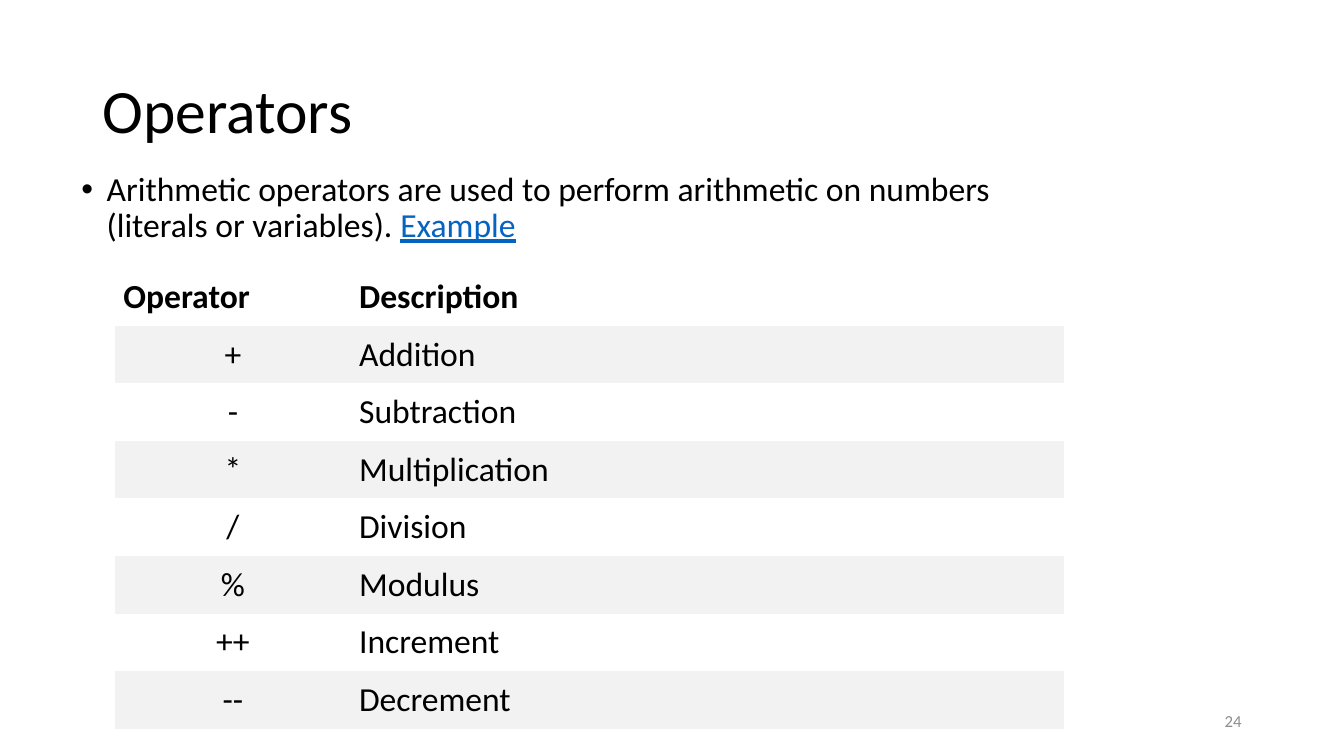
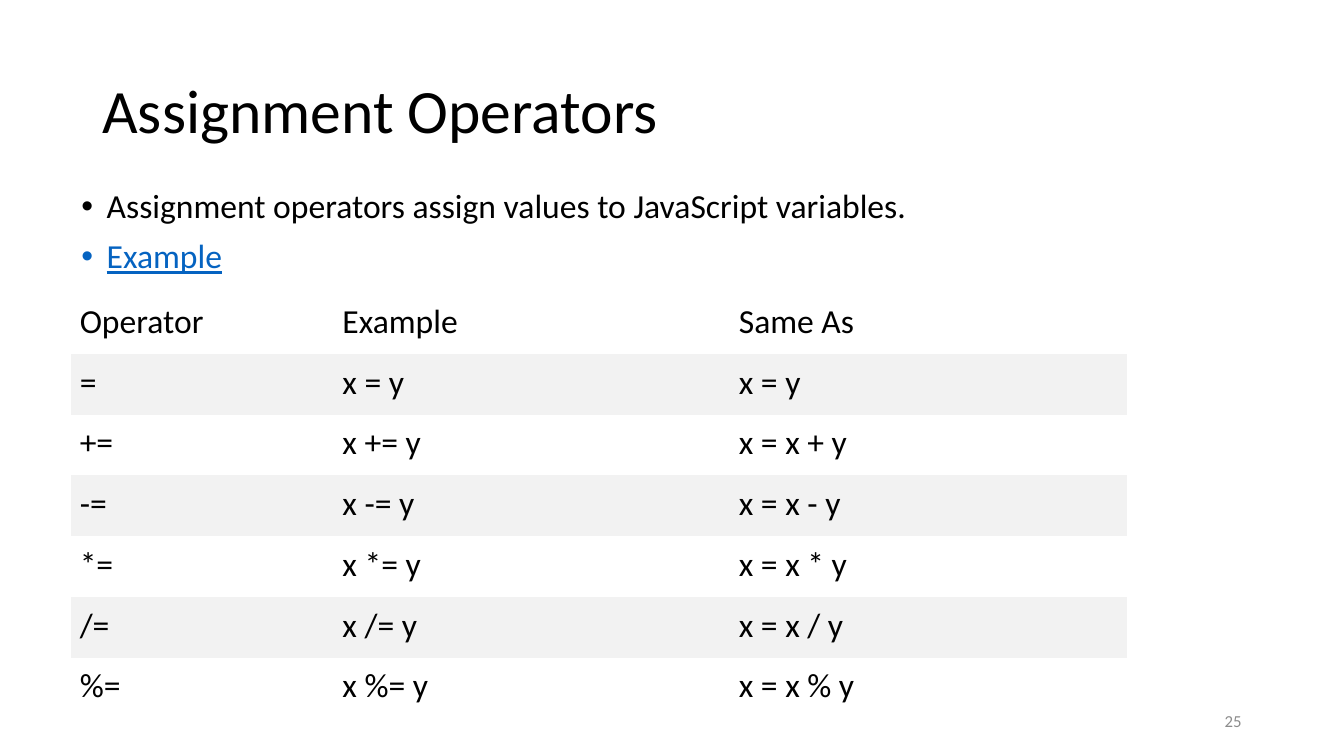
from lxml.etree import SubElement
from pptx import Presentation
from pptx.dml.color import RGBColor
from pptx.enum.text import MSO_ANCHOR as Anchor, PP_ALIGN as Align
from pptx.oxml.ns import qn
from pptx.util import Cm, Pt

FONT = "Calibri"
BLACK, WHITE, STRIPE, LINK, MUTED = "000000", "FFFFFF", "F2F2F2", "0563C1", "8C8C8C"
PLAIN_TABLE = "{2D5ABB26-0587-4C30-8999-92F81FD0307C}"


def paint(fill, color):
    fill.solid()
    fill.fore_color.rgb = RGBColor.from_string(color)


def write(frame, *paragraphs, size=24, color=BLACK, bold=False, align=Align.LEFT,
          anchor=Anchor.TOP, spacing=1.0, bullet=False):
    frame.word_wrap = True
    frame.vertical_anchor = anchor
    for index, spans in enumerate(paragraphs):
        para = frame.add_paragraph() if index else frame.paragraphs[0]
        para.alignment = align
        para.line_spacing = spacing
        if bullet:
            para.space_before = Pt(10)
            properties = para._p.get_or_add_pPr()
            properties.set("marL", str(Cm(0.64)))
            properties.set("indent", str(-Cm(0.64)))
            SubElement(properties, qn("a:buFont"), typeface="Arial")
            SubElement(properties, qn("a:buChar"), char="•")
        for text, linked in spans:
            span = para.add_run()
            span.text = text
            span.font.name = FONT
            span.font.size = Pt(size)
            span.font.bold = bold
            span.font.underline = linked
            paint(span.font.fill, LINK if linked else color)


slides = [
    {
        "title": "Operators",
        "number": 24,
        "body_top": 4.22,
        "body": [[("Arithmetic operators are used to perform arithmetic on numbers "
                   "(literals or variables). ", False), ("Example", True)]],
        "table_at": (2.9, 6.76),
        "columns": [5.94, 17.97],
        "row_height": 1.45,
        "bold_header": True,
        "symbol_align": Align.CENTER,
        "rows": [
            ("Operator", "Description"),
            ("+", "Addition"),
            ("-", "Subtraction"),
            ("*", "Multiplication"),
            ("/", "Division"),
            ("%", "Modulus"),
            ("++", "Increment"),
            ("--", "Decrement"),
        ],
    },
    {
        "title": "Assignment Operators",
        "number": 25,
        "body_top": 4.65,
        "body": [[("Assignment operators assign values to JavaScript variables.", False)],
                 [("Example", True)]],
        "table_at": (1.8, 7.39),
        "columns": [6.62, 9.99, 9.99],
        "row_height": 1.53,
        "bold_header": False,
        "symbol_align": Align.LEFT,
        "rows": [("Operator", "Example", "Same As"), ("=", "x = y", "x = y")]
        + [(f"{sign}=", f"x {sign}= y", f"x = x {sign} y") for sign in "+-*/%"],
    },
]

deck = Presentation()
deck.slide_width, deck.slide_height = Cm(33.87), Cm(19.05)

for content in slides:
    page = deck.slides.add_slide(deck.slide_layouts[6])
    paint(page.background.fill, WHITE)

    title_box = page.shapes.add_textbox(Cm(2.33), Cm(1.01), Cm(29.21), Cm(3.68))
    write(title_box.text_frame, [(content["title"], False)],
          size=44, anchor=Anchor.MIDDLE, spacing=0.9)

    body_box = page.shapes.add_textbox(Cm(1.8), Cm(content["body_top"]), Cm(26.11), Cm(11.66))
    write(body_box.text_frame, *content["body"], spacing=0.9, bullet=True)

    rows, columns = content["rows"], content["columns"]
    left, top = content["table_at"]
    table = page.shapes.add_table(
        len(rows), len(columns), Cm(left), Cm(top),
        Cm(sum(columns)), Cm(content["row_height"] * len(rows))).table
    table.first_row = table.horz_banding = False
    table._tbl.tblPr.find(qn("a:tableStyleId")).text = PLAIN_TABLE
    for column, width in zip(table.columns, columns):
        column.width = Cm(width)
    for row_index, row in enumerate(rows):
        table.rows[row_index].height = Cm(content["row_height"])
        for column_index, text in enumerate(row):
            cell = table.cell(row_index, column_index)
            cell.margin_left = cell.margin_right = Cm(0.21)
            cell.margin_top = cell.margin_bottom = Cm(0.21)
            paint(cell.fill, STRIPE if row_index % 2 else WHITE)
            is_symbol = row_index > 0 and column_index == 0
            write(cell.text_frame, [(text, False)],
                  bold=content["bold_header"] and row_index == 0,
                  align=content["symbol_align"] if is_symbol else Align.LEFT)

    number_box = page.shapes.add_textbox(Cm(23.92), Cm(17.66), Cm(7.62), Cm(1.01))
    write(number_box.text_frame, [(str(content["number"]), False)],
          size=12, color=MUTED, align=Align.RIGHT, anchor=Anchor.MIDDLE)

deck.save("out.pptx")
